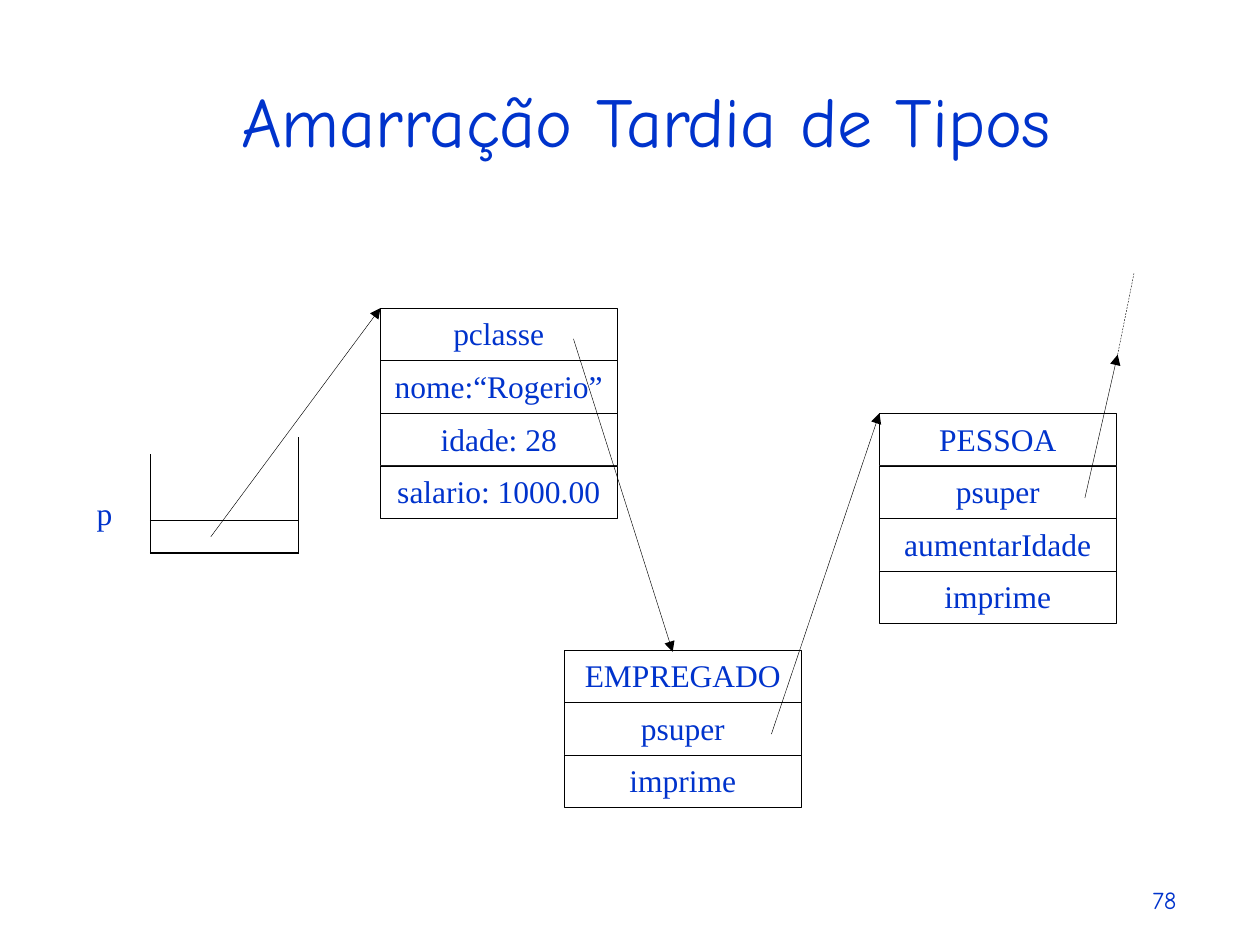
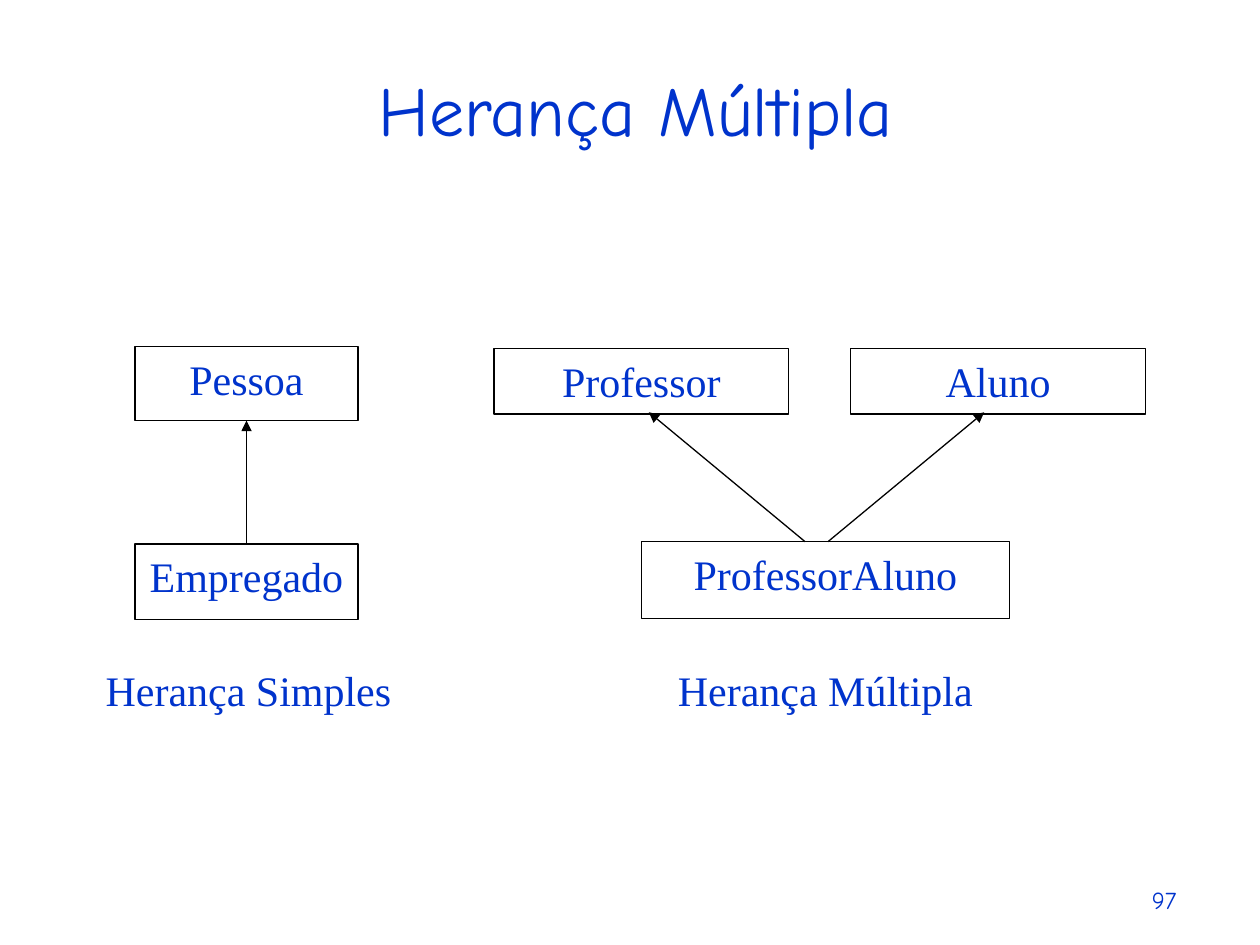
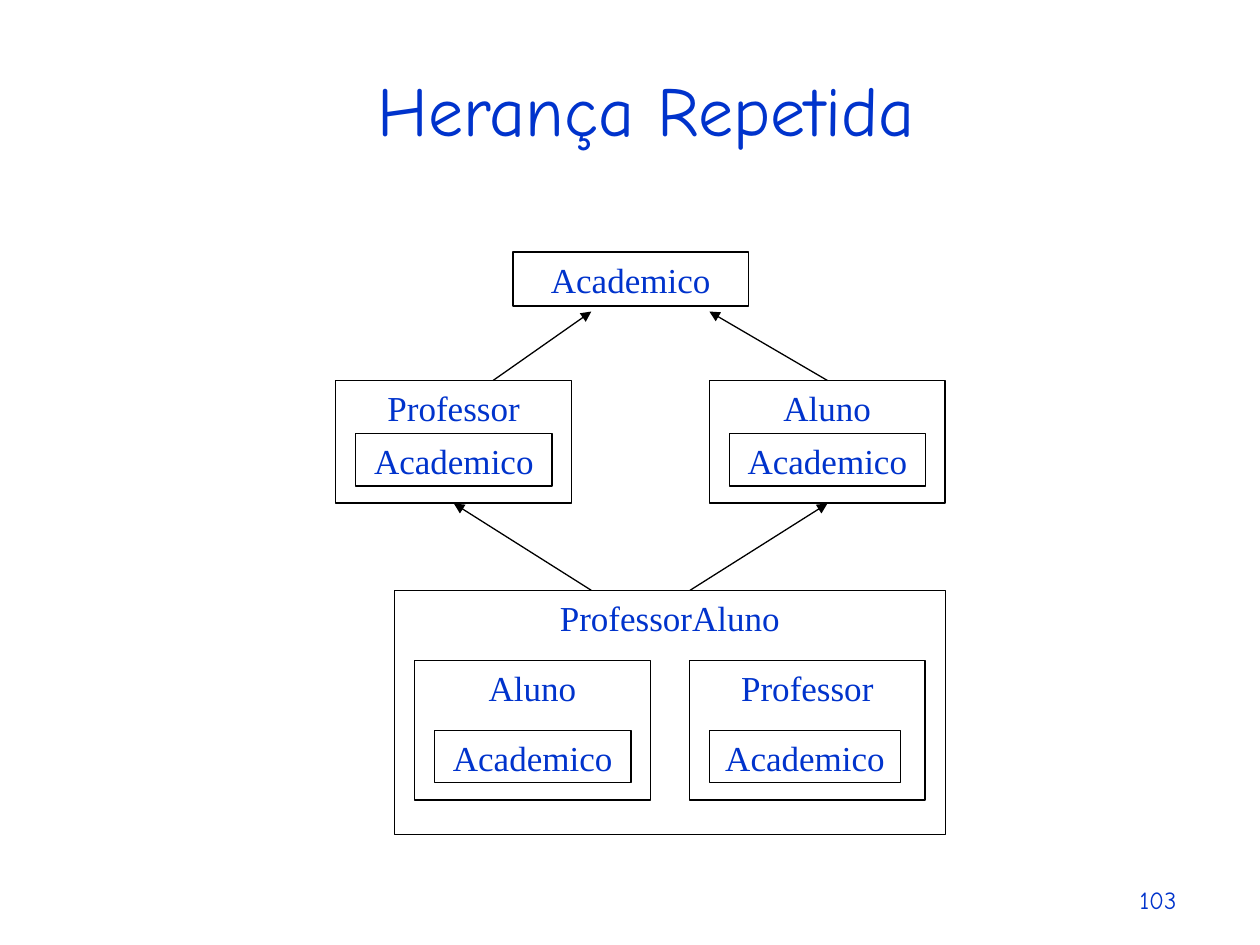
import lxml.etree
import pptx
import pptx.dml.color
import pptx.enum.dml
import pptx.enum.shapes
import pptx.enum.text
import pptx.oxml.ns
import pptx.util

Cm, Pt = pptx.util.Cm, pptx.util.Pt
Align = pptx.enum.text.PP_ALIGN
Anchor = pptx.enum.text.MSO_ANCHOR
DASH = pptx.enum.dml.MSO_LINE.DASH

# Shared look
BLUE = pptx.dml.color.RGBColor(0x00, 0x33, 0xCC)
BLACK = pptx.dml.color.RGBColor(0, 0, 0)
WHITE = pptx.dml.color.RGBColor(0xFF, 0xFF, 0xFF)
HEAD, BODY = "Comic Neue", "Times New Roman"
THIN, FINE = 0.25, 0.75
FRAME = {
    "word_wrap": True,
    "auto_size": pptx.enum.text.MSO_AUTO_SIZE.NONE,
    "margin_left": Cm(0.25), "margin_right": Cm(0.25),
    "margin_top": Cm(0.13), "margin_bottom": Cm(0.13),
}
ROW_W, ROW_H = 4.77, 1.06


def assign(item, values):
    for name, value in values.items():
        setattr(item, name, value)


def write(shape, text, size, font=BODY, align=Align.CENTER, anchor=Anchor.TOP):
    frame = shape.text_frame
    frame.text = text
    assign(frame, {**FRAME, "vertical_anchor": anchor})
    par = frame.paragraphs[0]
    par.alignment = align
    assign(par.runs[0].font, {"name": font, "size": Pt(size)})
    par.runs[0].font.color.rgb = BLUE


def label(slide, text, x, y, w, h, size, **style):
    box = slide.shapes.add_textbox(Cm(x), Cm(y), Cm(w), Cm(h))
    write(box, text, size, **style)


def start(deck, title, number, x, y, h):
    """Add a slide with its title and page number."""
    slide = deck.slides.add_slide(deck.slide_layouts[5])
    head = slide.shapes.title
    assign(head, {"left": Cm(x), "top": Cm(y), "width": Cm(24.77), "height": Cm(h)})
    write(head, title, 40, HEAD, anchor=Anchor.BOTTOM)
    label(slide, str(number), 18.69, 17.3, 5.28, 1.27, 14,
          font=HEAD, align=Align.RIGHT, anchor=Anchor.BOTTOM)
    return slide


def box(slide, text, x, y, w, h, size, width=FINE):
    kind = pptx.enum.shapes.MSO_SHAPE.RECTANGLE
    rect = slide.shapes.add_shape(kind, Cm(x), Cm(y), Cm(w), Cm(h))
    rect.shadow.inherit = False
    rect.fill.solid()
    rect.fill.fore_color.rgb = WHITE
    if width:
        rect.line.color.rgb = BLACK
        rect.line.width = Pt(width)
    else:
        rect.line.fill.background()
    write(rect, text, size)


def stack(slide, x, y, rows):
    """Draw an object record as touching rows."""
    for i, text in enumerate(rows):
        box(slide, text, x, y + i * ROW_H, ROW_W, ROW_H, 18, THIN)


def line(slide, x1, y1, x2, y2, width=FINE, dash=None, tip=False):
    kind = pptx.enum.shapes.MSO_CONNECTOR.STRAIGHT
    link = slide.shapes.add_connector(kind, Cm(x1), Cm(y1), Cm(x2), Cm(y2))
    link.line.color.rgb = BLACK
    assign(link.line, {"width": Pt(width), "dash_style": dash})
    qn = pptx.oxml.ns.qn
    props = link.element.find(qn("p:spPr"))
    if tip:
        outline = props.find(qn("a:ln"))
        lxml.etree.SubElement(outline, qn("a:tailEnd"), type="triangle")
    lxml.etree.SubElement(props, qn("a:effectLst"))


def late(deck):
    slide = start(deck, "Amarração Tardia de Tipos", 78, 0.64, 1.27, 2.11)
    # Variable p
    left, right, base = 3.02, 6.02, 11.15
    label(slide, "p", 1.7, 9.83, 1.3, 1.35, 18, align=Align.LEFT)
    line(slide, left, base, right, base)
    line(slide, left, 10.49, right, 10.49, 1)
    line(slide, left, base, left, 9.15, THIN)
    line(slide, right, base, right, 8.81, THIN)
    # Object and its classes
    stack(slide, 17.73, 8.33, ["PESSOA", "psuper", "aumentarIdade", "imprime"])
    stack(slide, 11.38, 13.1, ["EMPREGADO", "psuper", "imprime"])
    stack(slide, 7.67, 6.21,
          ["pclasse", "nome:“Rogerio”", "idade: 28", "salario: 1000.00"])
    # Pointers
    for ends in [(15.55, 14.8, 17.73, 8.33), (21.87, 10.04, 22.53, 7.15),
                 (4.25, 10.82, 7.67, 6.21), (11.56, 6.83, 13.56, 13.14)]:
        line(slide, *ends, THIN, tip=True)
    line(slide, 22.53, 7.15, 22.86, 5.51, THIN, DASH)


def multiple(deck):
    slide = start(deck, "Herança Múltipla", 97, 0.43, 1.27, 1.9)
    # Single parent
    box(slide, "Pessoa", 2.72, 6.99, 4.5, 1.49, 24)
    box(slide, "Empregado", 2.72, 10.97, 4.5, 1.52, 24)
    line(slide, 4.97, 10.97, 4.97, 8.48, tip=True)
    # Two parents
    for text, x in [("Professor", 9.96), ("Aluno", 17.15)]:
        box(slide, text, x, 7.03, 5.94, 1.32, 24)
    box(slide, "ProfessorAluno", 12.93, 10.92, 7.42, 1.55, 24)
    for x1, x2 in [(16.69, 19.84), (16.23, 13.08)]:
        line(slide, x1, 10.92, x2, 8.31, tip=True)
    # Captions
    for text, x in [("Herança Simples", 1.3), ("Herança Múltipla", 12.93)]:
        box(slide, text, x, 13.26, 7.42, 1.55, 24, None)


def nest(slide, text, x, y, h, drop, inner=3.96):
    """Draw a class box holding its inherited part."""
    box(slide, text, x, y, 4.75, h, 20)
    box(slide, "Academico", x + 0.4, y + drop, inner, 1.06, 20)


def repeat(deck):
    slide = start(deck, "Herança Repetida", 103, 0.64, 1.06, 2.11)
    # Class boxes
    box(slide, "Academico", 10.34, 5.08, 4.75, 1.09, 20)
    nest(slide, "Professor", 6.77, 7.67, 2.47, 1.07)
    nest(slide, "Aluno", 14.3, 7.67, 2.47, 1.07)
    box(slide, "ProfessorAluno", 7.95, 11.9, 11.11, 4.93, 20)
    nest(slide, "Aluno", 8.36, 13.31, 2.82, 1.41)
    nest(slide, "Professor", 13.9, 13.31, 2.82, 1.41, 3.86)
    # Inheritance arrows
    for ends in [(9.94, 7.67, 11.92, 6.28), (16.68, 7.67, 14.3, 6.28),
                 (13.91, 11.9, 16.68, 10.15), (11.92, 11.9, 9.15, 10.15)]:
        line(slide, *ends, tip=True)


def main():
    deck = pptx.Presentation()
    assign(deck, {"slide_width": Cm(25.4), "slide_height": Cm(19.05)})
    late(deck)
    multiple(deck)
    repeat(deck)
    deck.save("out.pptx")


if __name__ == "__main__":
    main()
